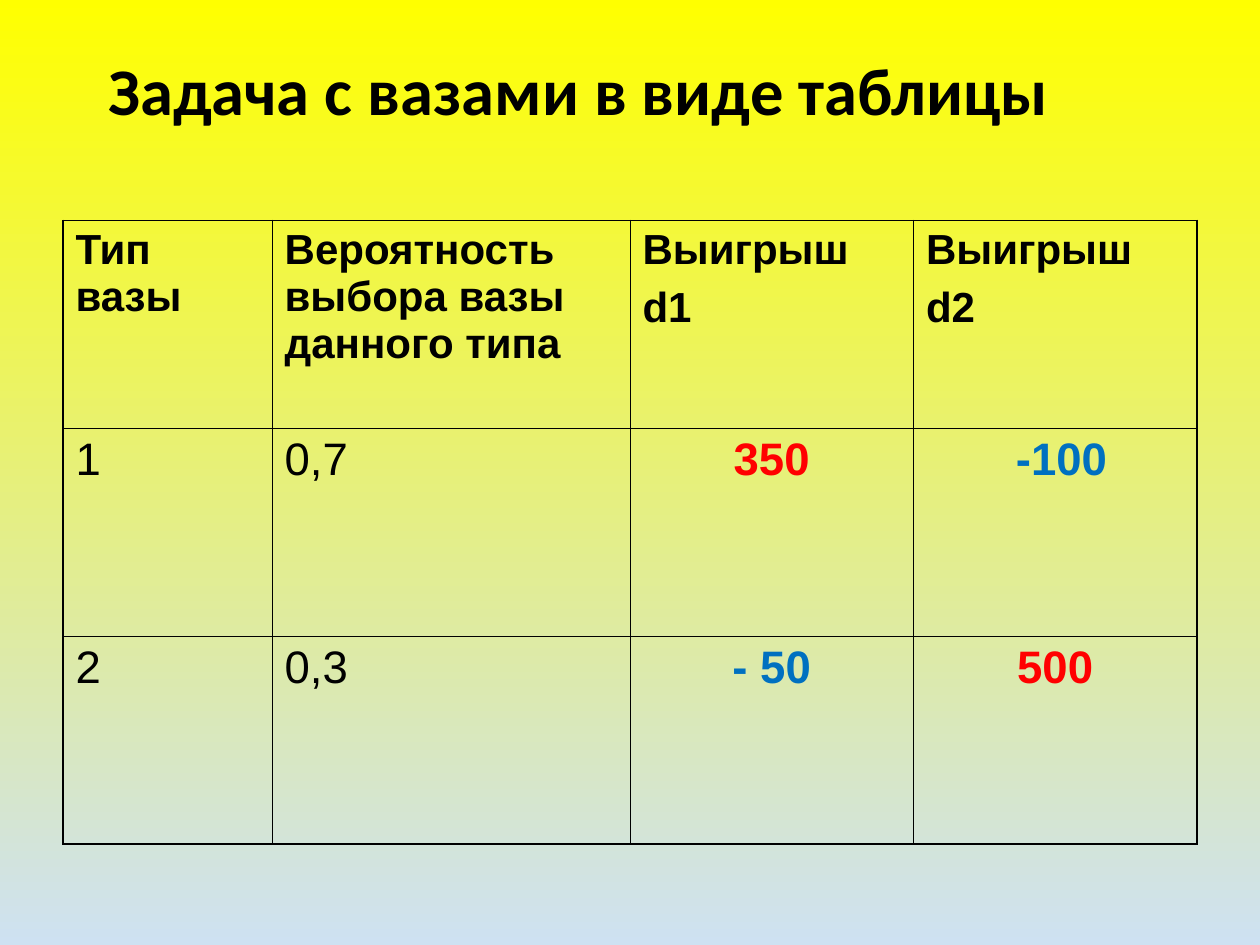
import dataclasses
import typing

import pptx
import pptx.dml.color
import pptx.enum.text
import pptx.oxml
import pptx.oxml.ns
import pptx.util

Pt = pptx.util.Pt
ALIGN = pptx.enum.text.PP_ALIGN

COLORS = {
    "top": "FFFF00",
    "bottom": "CEE1F2",
    "text": "000000",
    "border": "000000",
    "gain": "FF0000",
    "loss": "0070C0",
}
COL_WIDTHS = [119.5, 204.5, 162, 162]
ROW_HEIGHT = 118.8
THIN, THICK = 0.45, 1.08


@dataclasses.dataclass
class Entry:
    text: str
    size: float = 26
    color: str = "text"
    bold: bool = False
    align: typing.Any = ALIGN.LEFT


def header(text: str) -> Entry:
    return Entry(text, size=24, bold=True)


def payoff(text: str, color: str) -> Entry:
    return Entry(text, color=color, bold=True, align=ALIGN.CENTER)


ROWS = [
    [header("Тип вазы"), header("Вероятность выбора вазы данного типа"),
     header("Выигрыш\nd1"), header("Выигрыш\nd2")],
    [Entry("1"), Entry("0,7"), payoff("350", "gain"), payoff(" -100", "loss")],
    [Entry("2"), Entry("0,3"), payoff("- 50", "loss"), payoff("500", "gain")],
]


def rgb(name: str) -> pptx.dml.color.RGBColor:
    return pptx.dml.color.RGBColor.from_string(COLORS[name])


def write(tf, text: str, *, size: float, color: str = "text", bold: bool = False,
          align=ALIGN.LEFT, font: str = "Arial", before: float = 0,
          spacing: float = 1.0) -> None:
    for i, line in enumerate(text.split("\n")):
        p = tf.add_paragraph() if i else tf.paragraphs[0]
        p.alignment = align
        p.line_spacing = spacing
        if i:
            p.space_before = Pt(before)
        r = p.add_run()
        r.text = line
        r.font.name = font
        r.font.size = Pt(size)
        r.font.bold = bold
        r.font.color.rgb = rgb(color)


def set_borders(cell, widths: dict[str, float]) -> None:
    tc_pr = cell._tc.get_or_add_tcPr()
    for i, (side, width) in enumerate(widths.items()):
        ln = pptx.oxml.parse_xml(
            f'<a:ln{side} {pptx.oxml.ns.nsdecls("a")} w="{int(Pt(width))}">'
            f'<a:solidFill><a:srgbClr val="{COLORS["border"]}"/></a:solidFill>'
            f'</a:ln{side}>'
        )
        tc_pr.insert(i, ln)


def draw_background(s) -> None:
    fill = s.background.fill
    fill.gradient()
    fill.gradient_angle = 270
    for stop, position, name in zip(fill.gradient_stops, (0, 1), ("top", "bottom")):
        stop.position = position
        stop.color.rgb = rgb(name)


def draw_title(s, text: str) -> None:
    sp = s.shapes.add_textbox(Pt(15), Pt(18), Pt(631.5), Pt(72))
    tf = sp.text_frame
    tf.word_wrap = True
    tf.vertical_anchor = pptx.enum.text.MSO_ANCHOR.MIDDLE
    write(tf, text, size=38, bold=True, align=ALIGN.CENTER, font="Calibri", spacing=0.9)


def draw_table(s, rows: list[list[Entry]]) -> None:
    last_row, last_col = len(rows) - 1, len(COL_WIDTHS) - 1
    table = s.shapes.add_table(len(rows), len(COL_WIDTHS), Pt(36), Pt(126),
                               Pt(sum(COL_WIDTHS)), Pt(ROW_HEIGHT * len(rows))).table
    table.first_row = False
    table.horz_banding = False
    for column, width in zip(table.columns, COL_WIDTHS):
        column.width = Pt(width)
    for i, entries in enumerate(rows):
        table.rows[i].height = Pt(ROW_HEIGHT)
        for j, entry in enumerate(entries):
            cell = table.cell(i, j)
            cell.fill.background()
            set_borders(cell, {
                "L": THICK if j == 0 else THIN,
                "R": THICK if j == last_col else THIN,
                "T": THICK if i == 0 else THIN,
                "B": THICK if i == last_row else THIN,
            })
            write(cell.text_frame, entry.text, size=entry.size, color=entry.color,
                  bold=entry.bold, align=entry.align, before=6)


def main() -> None:
    prs = pptx.Presentation()
    prs.slide_width, prs.slide_height = Pt(720), Pt(540)
    s = prs.slides.add_slide(prs.slide_layouts[6])
    draw_background(s)
    draw_title(s, "Задача с вазами в виде таблицы")
    draw_table(s, ROWS)
    prs.save("out.pptx")


if __name__ == "__main__":
    main()
